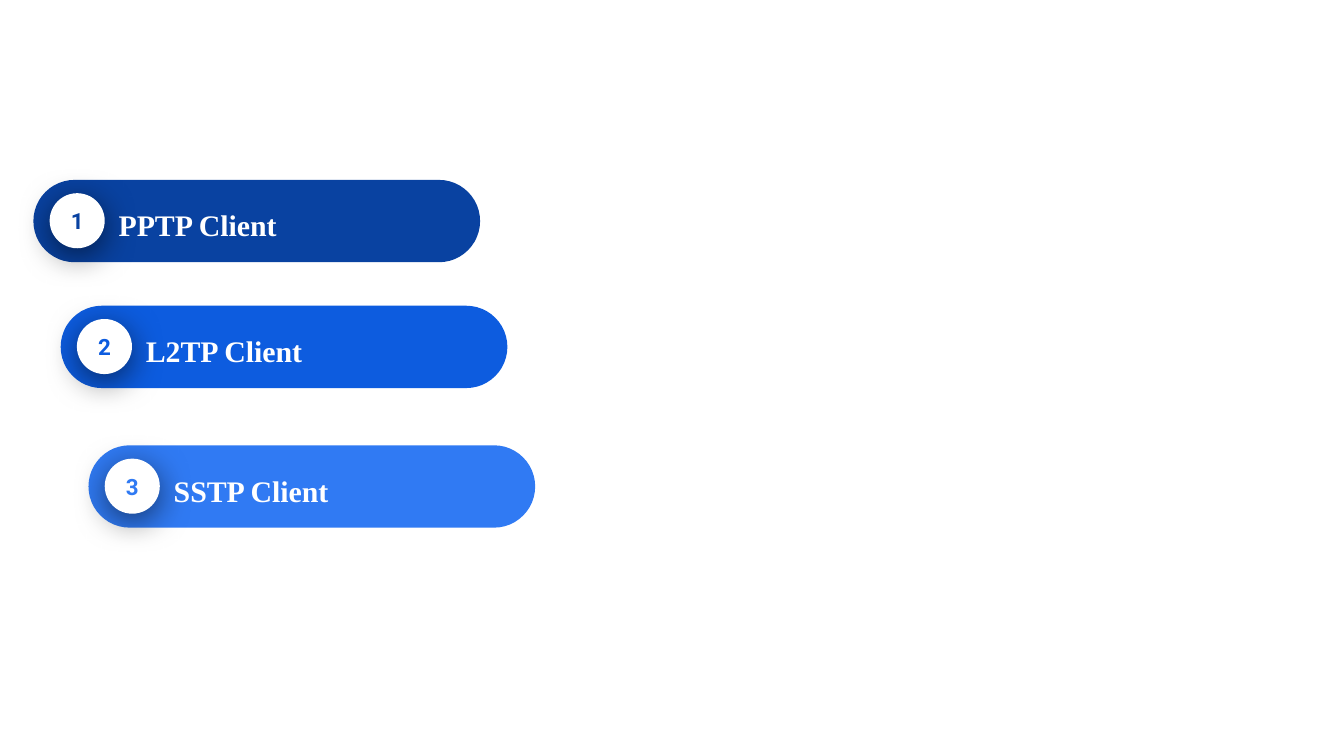
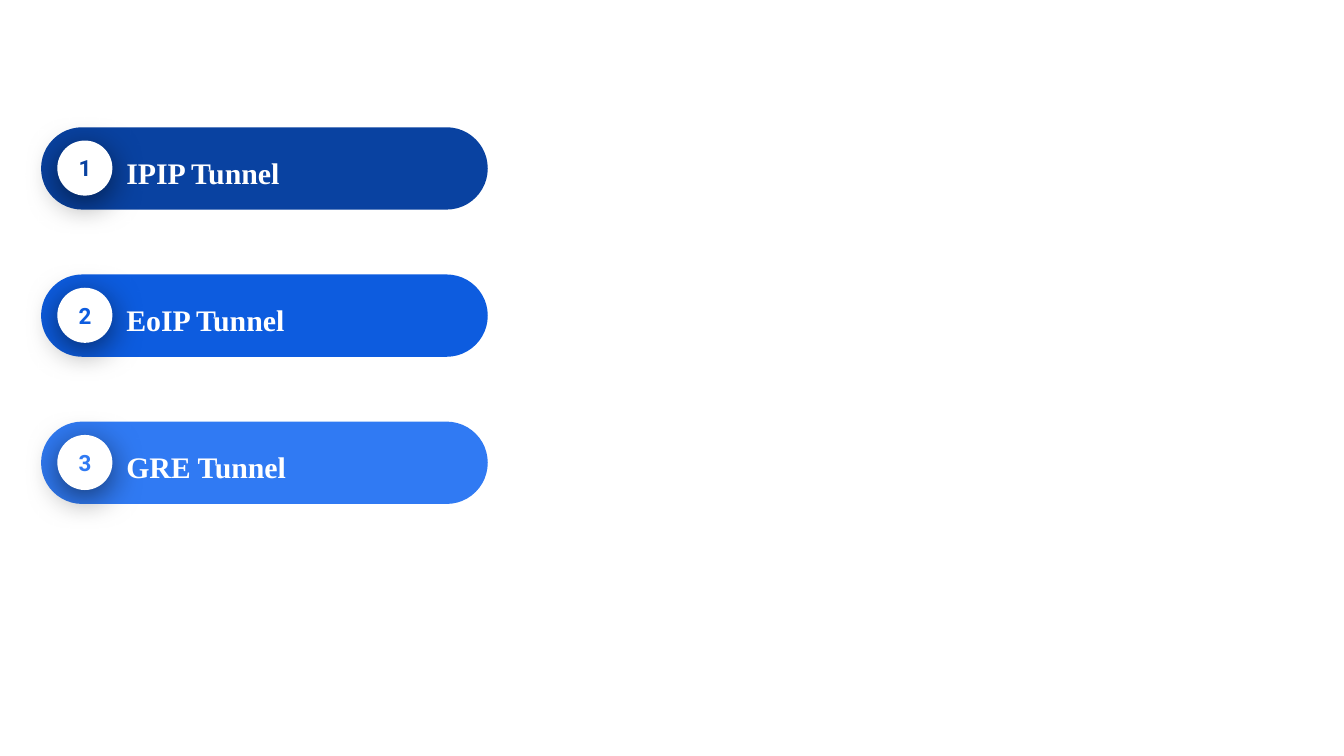
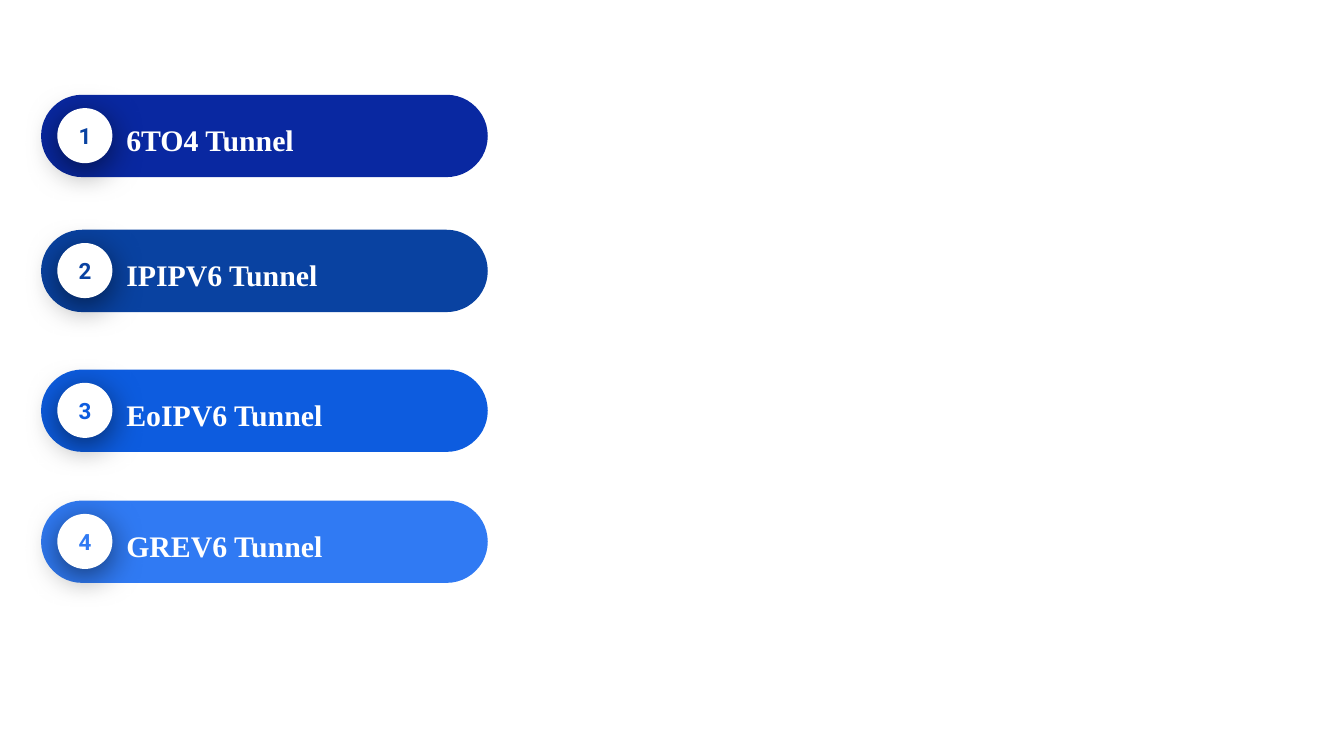
from lxml.etree import SubElement
from pptx import Presentation
from pptx.dml.color import RGBColor
from pptx.enum.shapes import MSO_SHAPE
from pptx.enum.text import MSO_ANCHOR, PP_ALIGN
from pptx.oxml.ns import qn
from pptx.util import Pt

WHITE = RGBColor(0xFF, 0xFF, 0xFF)
INDIGO = RGBColor(0x09, 0x28, 0xA1)
NAVY = RGBColor(0x09, 0x42, 0xA1)
BLUE = RGBColor(0x0D, 0x5C, 0xDF)
SKY = RGBColor(0x30, 0x7A, 0xF3)

BAR_LENGTH = 239.3
BAR_THICKNESS = 44.1
BADGE_SIZE = 29.5
BADGE_INSET = 8.7
LABEL_INSET = 38.6
CONTENT_DROP = 7.1
TUNNEL_LEFT = 22

CLIENTS = [
    (17.9, 96.4, "PPTP Client", NAVY, NAVY),
    (32.5, 163.8, "L2TP Client", BLUE, BLUE),
    (47.4, 238.6, "SSTP Client", SKY, SKY),
]
TUNNELS = [
    (TUNNEL_LEFT, 68.2 + 78.85 * index, name, color, color)
    for index, (name, color) in enumerate(
        [("IPIP Tunnel", NAVY), ("EoIP Tunnel", BLUE), ("GRE Tunnel", SKY)]
    )
]
V6_TUNNELS = [
    (TUNNEL_LEFT, 50.8, "6TO4 Tunnel", INDIGO, NAVY),
    (TUNNEL_LEFT, 123.1, "IPIPV6 Tunnel", NAVY, NAVY),
    (TUNNEL_LEFT, 198, "EoIPV6 Tunnel", BLUE, BLUE),
    (TUNNEL_LEFT, 268.2, "GREV6 Tunnel", SKY, SKY),
]


def add_filled_shape(group, kind, left, top, width, height, color):
    shape = group.shapes.add_shape(kind, Pt(left), Pt(top), Pt(width), Pt(height))
    shape.shadow.inherit = False
    shape.fill.solid()
    shape.fill.fore_color.rgb = color
    shape.line.fill.background()
    return shape


def add_soft_shadow(shape):
    effects = shape.element.spPr.find(qn("a:effectLst"))
    shadow = SubElement(
        effects, qn("a:outerShdw"), blurRad=str(Pt(18)), dist=str(Pt(4)),
        dir="5400000", algn="bl", rotWithShape="0",
    )
    color = SubElement(shadow, qn("a:srgbClr"), val="000000")
    SubElement(color, qn("a:alpha"), val="55000")


def write_text(shape, text, font_name, size, color, alignment):
    frame = shape.text_frame
    frame.word_wrap = True
    frame.vertical_anchor = MSO_ANCHOR.MIDDLE
    frame.margin_left = frame.margin_right = Pt(7.2)
    frame.margin_top = frame.margin_bottom = Pt(7.2)
    paragraph = frame.paragraphs[0]
    paragraph.alignment = alignment
    run = paragraph.add_run()
    run.text = text
    run.font.name = font_name
    run.font.size = Pt(size)
    run.font.bold = True
    run.font.color.rgb = color
    return paragraph


def add_bar(group, left, top, color):
    shift = (BAR_LENGTH - BAR_THICKNESS) / 2
    bar = add_filled_shape(
        group, MSO_SHAPE.ROUNDED_RECTANGLE, left + shift, top - shift,
        BAR_THICKNESS, BAR_LENGTH, color,
    )
    bar.adjustments[0] = 0.5
    bar.rotation = 90


def add_badge(group, left, top, number, color):
    badge = add_filled_shape(
        group, MSO_SHAPE.OVAL, left, top, BADGE_SIZE, BADGE_SIZE, WHITE
    )
    add_soft_shadow(badge)
    write_text(badge, str(number), "Roboto", 12, color, PP_ALIGN.CENTER)


def add_label(group, left, top, name):
    label = group.shapes.add_textbox(Pt(left), Pt(top), Pt(183.8), Pt(31))
    paragraph = write_text(
        label, name, "Times New Roman", 16, WHITE, PP_ALIGN.LEFT
    )
    paragraph.line_spacing = 1.15


def add_numbered_item(slide, number, left, top, name, bar_color, number_color):
    group = slide.shapes.add_group_shape()
    add_bar(group, left, top, bar_color)
    content_top = top + CONTENT_DROP
    add_badge(group, left + BADGE_INSET, content_top, number, number_color)
    add_label(group, left + LABEL_INSET, content_top, name)


def main():
    presentation = Presentation()
    presentation.slide_width = Pt(720)
    presentation.slide_height = Pt(405)
    for items in (CLIENTS, TUNNELS, V6_TUNNELS):
        slide = presentation.slides.add_slide(presentation.slide_layouts[6])
        for number, item in enumerate(items, start=1):
            add_numbered_item(slide, number, *item)
    presentation.save("out.pptx")


if __name__ == "__main__":
    main()
